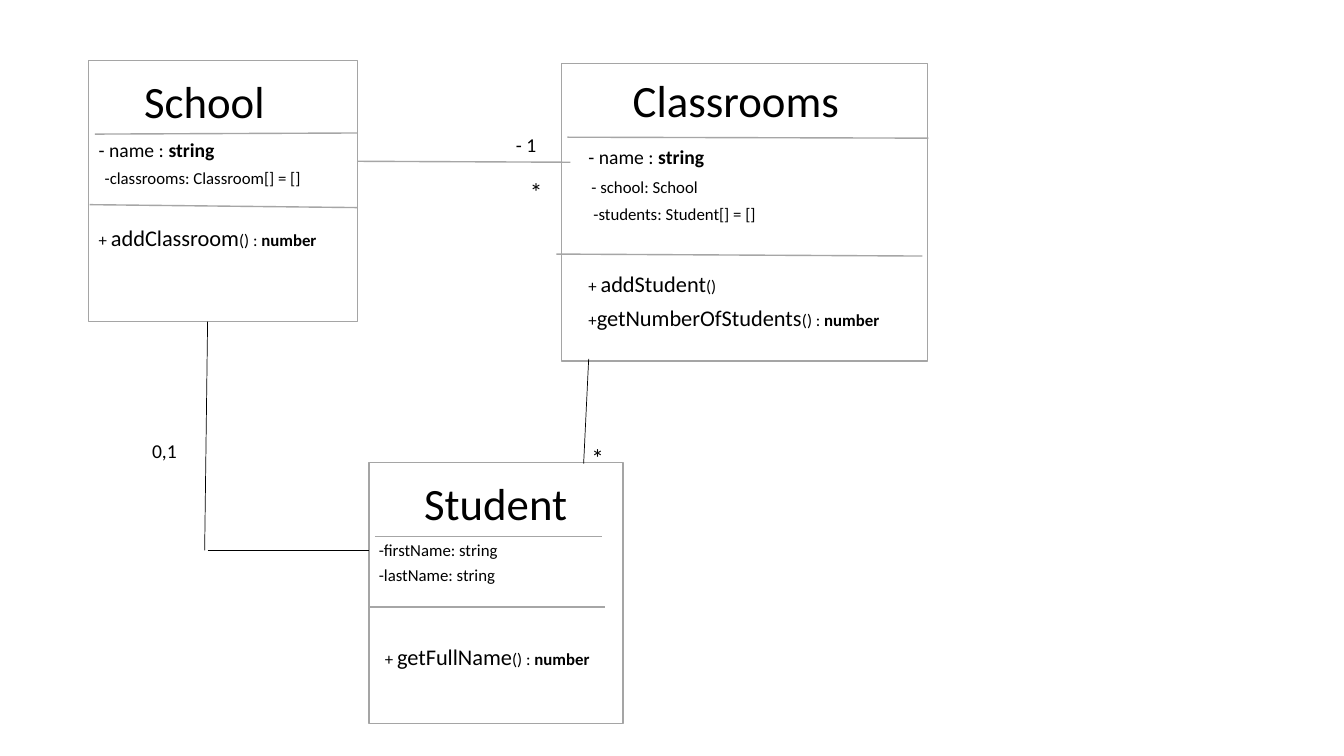
from pptx import Presentation
from pptx.dml.color import RGBColor
from pptx.enum.shapes import MSO_CONNECTOR, MSO_SHAPE
from pptx.enum.text import MSO_AUTO_SIZE
from pptx.oxml.ns import qn
from pptx.util import Pt
from lxml import etree

STRAIGHT = MSO_CONNECTOR.STRAIGHT
RECTANGLE = MSO_SHAPE.RECTANGLE
GROW = MSO_AUTO_SIZE.SHAPE_TO_FIT_TEXT

FONT = "Calibri"
COLORS = {"paper": "FFFFFF", "border": "A5A5A5", "rule": "A6A6A6", "ink": "000000"}


def rgb(name):
    return RGBColor.from_string(COLORS[name])


def add_text(slide, left, top, width, runs, wrap=False, color="ink"):
    """Place one line of (text, size, bold) runs; its height follows the largest size."""
    height = 1.22 * max(size for _, size, _ in runs) + 7.2
    label = slide.shapes.add_textbox(Pt(left), Pt(top), Pt(width), Pt(height))
    frame = label.text_frame
    frame.word_wrap = wrap
    frame.auto_size = GROW
    for text, size, bold in runs:
        run = frame.paragraphs[0].add_run()
        run.text = text
        run.font.name = FONT
        run.font.size = Pt(size)
        run.font.bold = bold
        run.font.color.rgb = rgb(color)


def add_line(slide, x1, y1, x2, y2, color="rule", weight=1):
    line = slide.shapes.add_connector(STRAIGHT, Pt(x1), Pt(y1), Pt(x2), Pt(y2))
    line.line.color.rgb = rgb(color)
    line.line.width = Pt(weight)
    etree.SubElement(line._element.spPr, qn("a:effectLst"))


def plain(text, size=12):
    return [(text, size, False)]


def name_field():
    return [("- name : ", 14, False), ("string", 14, True)]


def method(name, sign="+ ", result=None):
    runs = [(sign, 12, False), (name, 16, False)]
    if result is None:
        return runs + [("()", 12, False)]
    return runs + [("() : ", 12, False), (result, 12, True)]


def class_box(slide, box, title, rules, members):
    """Draw a class; title, rules and members are offset from the box corner."""
    left, top, width, height = box
    frame = slide.shapes.add_shape(RECTANGLE, Pt(left), Pt(top), Pt(width), Pt(height))
    frame.shadow.inherit = False
    frame.fill.solid()
    frame.fill.fore_color.rgb = rgb("paper")
    frame.line.color.rgb = rgb("border")
    frame.line.width = Pt(1)

    name, dx, dy, name_width = title
    add_text(slide, left + dx, top + dy, name_width, plain(name, 32))
    for x1, y1, x2, y2 in rules:
        add_line(slide, left + x1, top + y1, left + x2, top + y2)
    for dx, dy, member_width, runs, wrap in members:
        add_text(slide, left + dx, top + dy, member_width, runs, wrap=wrap)


def relations(slide):
    """Draw the associations between classes and their multiplicities."""
    add_line(slide, 255.6, 115.2, 407.5, 115.9)  # School to Classrooms
    for line in [
        (420.5, 256.3, 416.9, 331.2),  # Classrooms to Student
        (148.3, 229.7, 146.2, 393.1),  # School down
        (148.3, 393.1, 263.5, 393.1),  # across to Student
    ]:
        add_line(slide, *line, color="ink", weight=0.5)
    for left, top, width, text, size in [
        (361.4, 91.4, 29.5, "- 1", 14),
        (371.5, 122.4, 23.8, "*", 18),
        (415.4, 312.5, 23.8, "*", 18),
        (101.5, 310.3, 32.4, "0,1", 14),
    ]:
        add_text(slide, left, top, width, plain(text, size))


def main():
    deck = Presentation()
    deck.slide_width, deck.slide_height = Pt(960), Pt(540)
    slide = deck.slides.add_slide(deck.slide_layouts[6])

    # School
    class_box(
        slide, (63.4, 43.2, 192.2, 186.5), ("School", 32.4, 5.8, 101.5),
        [(4.3, 52.6, 192.2, 51.8), (0.7, 103, 192.2, 105.1)],
        [
            (0, 51.8, 97.9, name_field(), False),
            (4.3, 73.4, 156.2, plain("-classrooms: Classroom[] = []"), False),
            (0, 113, 243.4, method("addClassroom", result="number"), True),
        ],
    )
    # Classrooms
    class_box(
        slide, (401, 45.4, 261.4, 212.4), ("Classrooms", 43.9, 2.9, 163.4),
        [(4.3, 52.6, 262.1, 53.3), (-3.6, 136.1, 257.8, 137.5)],
        [
            (12.2, 54.7, 97.9, name_field(), False),
            (14.4, 77, 91.4, plain("- school: School"), False),
            (15.8, 96.5, 131.8, plain("-students: Student[] = []"), False),
            (12.2, 144, 111.6, method("addStudent"), False),
            (12.2, 168.5, 234, method("getNumberOfStudents", "+", "number"), False),
        ],
    )
    # Student
    class_box(
        slide, (263.5, 330.5, 181.4, 186.5), ("Student", 32.4, 5.8, 118.1),
        [(4.3, 52.6, 166.3, 52.6), (0.7, 103, 168.5, 103)],
        [
            (0, 51.8, 100.1, plain("-firstName: string"), False),
            (0, 69.1, 98.6, plain("-lastName: string"), False),
            (4.3, 125.3, 243.4, method("getFullName", result="number"), True),
        ],
    )
    relations(slide)
    deck.save("out.pptx")


if __name__ == "__main__":
    main()
